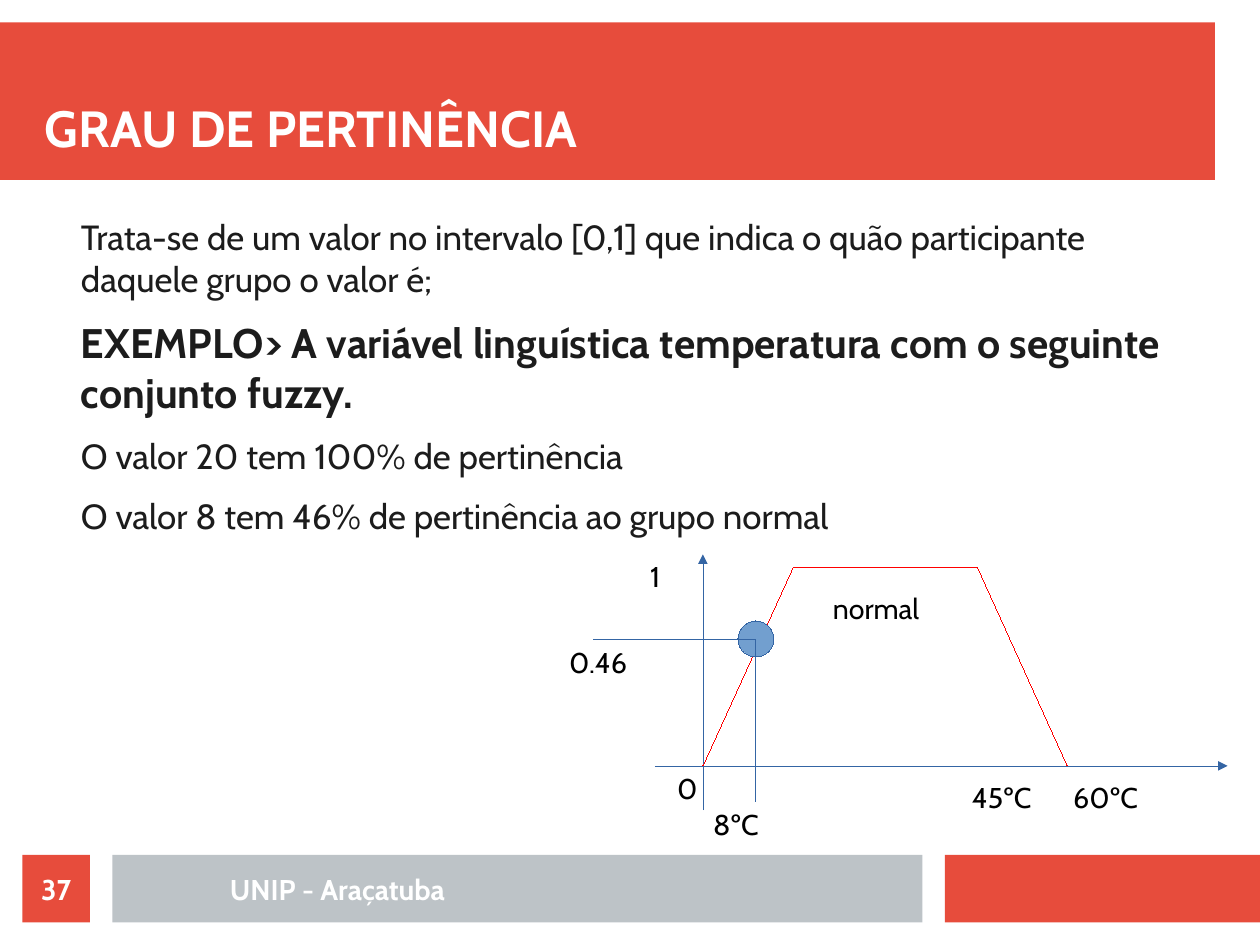
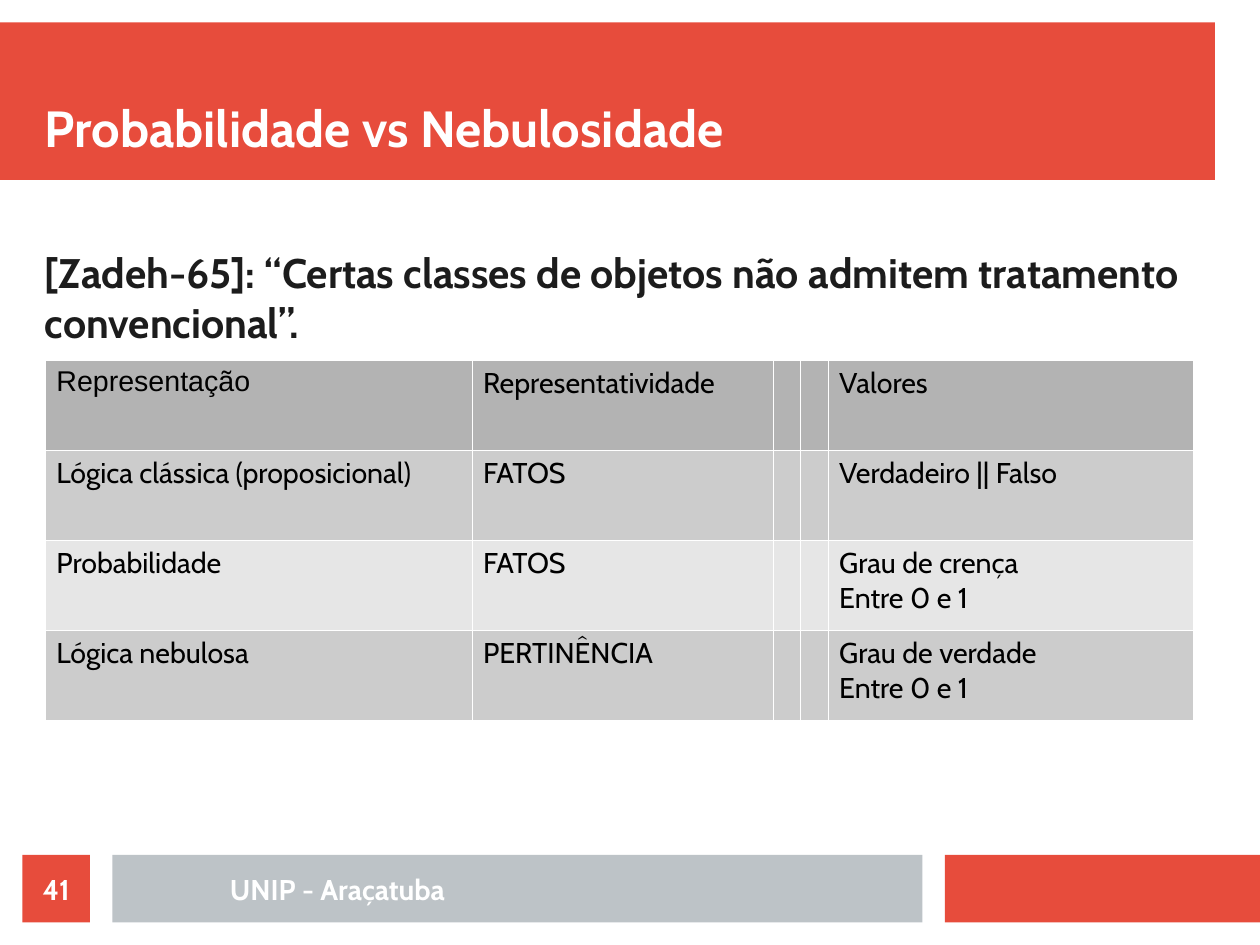
from itertools import pairwise

from lxml import etree
from pptx import Presentation
from pptx.dml.color import RGBColor
from pptx.enum.shapes import MSO_CONNECTOR as Connector, MSO_SHAPE as Shape
from pptx.enum.text import MSO_ANCHOR as Anchor, PP_ALIGN as Align
from pptx.oxml.ns import qn
from pptx.util import Cm, Pt

# Shared look
RED, GREY, WHITE, BLACK, INK = "E74C3C", "BDC3C7", "FFFFFF", "000000", "1C1C1C"
CURVE, BLUE, MARKER = "FF0000", "3465A4", "729FCF"
HEADER, DARK_ROW, LIGHT_ROW = "B3B3B3", "CCCCCC", "E6E6E6"
TITLE = {"size": Pt(32), "bold": True, "color": WHITE}
HEADING = {"size": Pt(26), "bold": True, "color": INK}
BODY = {"size": Pt(22), "bold": False, "color": INK}
FOOTER = {"size": Pt(18), "bold": True, "color": WHITE}
LABEL = {"size": Pt(18), "bold": False, "color": BLACK}
FOOTER_TOP, FOOTER_HEIGHT = 19, 1.5


def rgb(value):
    return RGBColor.from_string(value)


def style(font, look):
    for name, value in {"name": "Cabin", **look}.items():
        if name == "color":
            font.color.rgb = rgb(value)
        else:
            setattr(font, name, value)


def write(text_frame, paragraphs, align=Align.LEFT, space_after=0):
    """Fill a text frame from (text, look) pairs."""
    for index, (text, look) in enumerate(paragraphs):
        para = text_frame.paragraphs[0] if index == 0 else text_frame.add_paragraph()
        para.alignment = align
        para.space_after = Pt(space_after)
        span = para.add_run()
        span.text = text
        style(span.font, look)


def set_frame(text_frame, anchor, margin_x=0, margin_y=0):
    values = {"word_wrap": True, "vertical_anchor": anchor,
              "margin_left": Cm(margin_x), "margin_right": Cm(margin_x),
              "margin_top": Cm(margin_y), "margin_bottom": Cm(margin_y)}
    for name, value in values.items():
        setattr(text_frame, name, value)


def add_text(page, place, paragraphs, anchor=Anchor.TOP, margins=(0, 0), **layout):
    box = page.shapes.add_textbox(*map(Cm, place))
    set_frame(box.text_frame, anchor, *margins)
    write(box.text_frame, paragraphs, **layout)


def set_hairline(shape, color):
    shape.line.color.rgb = rgb(color)
    outline = shape.element.spPr.find(qn("a:ln"))
    outline.set("w", "0")
    return outline


def add_block(page, kind, place, fill, line=None):
    block = page.shapes.add_shape(kind, *map(Cm, place))
    block.shadow.inherit = False
    block.fill.solid()
    block.fill.fore_color.rgb = rgb(fill)
    if line:
        set_hairline(block, line)
    else:
        block.line.fill.background()
    return block


def add_line(page, start, end, color, arrow=False):
    line = page.shapes.add_connector(Connector.STRAIGHT, *map(Cm, (*start, *end)))
    outline = set_hairline(line, color)
    if arrow:
        etree.SubElement(outline, qn("a:tailEnd"), type="triangle")
    etree.SubElement(line.element.spPr, qn("a:effectLst"))


def add_page(deck, title, number):
    """Blank page with the title band and the footer."""
    page = deck.slides.add_slide(deck.slide_layouts[6])
    add_block(page, Shape.RECTANGLE, (0, 0.5, 27, 3.5), RED)
    for left, width, fill in [(21, 7, RED), (2.5, 18, GREY)]:
        add_block(page, Shape.RECTANGLE, (left, FOOTER_TOP, width, FOOTER_HEIGHT), fill)
    add_text(page, (1, 1, 26, 2.5), [(title, TITLE)], Anchor.BOTTOM)
    add_text(page, (3, FOOTER_TOP, 9, FOOTER_HEIGHT), [("UNIP - Araçatuba", FOOTER)],
             Anchor.MIDDLE, align=Align.CENTER)
    badge = add_block(page, Shape.RECTANGLE,
                      (0.5, FOOTER_TOP, FOOTER_HEIGHT, FOOTER_HEIGHT), RED)
    set_frame(badge.text_frame, Anchor.MIDDLE)
    write(badge.text_frame, [(str(number), FOOTER)], Align.CENTER)
    return page


def add_border(cell, color):
    properties = cell._tc.get_or_add_tcPr()
    for side in ("lnL", "lnR", "lnT", "lnB"):
        edge = etree.SubElement(properties, qn(f"a:{side}"), w="720")
        fill = etree.SubElement(edge, qn("a:solidFill"))
        etree.SubElement(fill, qn("a:srgbClr"), val=color)


def add_grid(page, left, top, widths, row_height, rows, fills):
    shape = page.shapes.add_table(len(rows), len(widths), Cm(left), Cm(top),
                                  Cm(sum(widths)), Cm(row_height * len(rows)))
    table = shape.table
    for column, width in zip(table.columns, widths):
        column.width = Cm(width)
    for row, texts, fill in zip(table.rows, rows, fills):
        row.height = Cm(row_height)
        for cell, text in zip(row.cells, texts):
            add_border(cell, WHITE)
            cell.fill.solid()
            cell.fill.fore_color.rgb = rgb(fill)
            if text:
                write(cell.text_frame, [(line, LABEL) for line in text.split("\n")])
    return table


def add_membership_diagram(page):
    axis_x, axis_y = 15.62, 17.02
    point_x, point_y, radius = 16.8, 14.2, 0.4
    # Axes
    add_line(page, (axis_x, 18), (axis_x, 12.32), BLUE, arrow=True)
    add_line(page, (14.55, axis_y), (27.28, axis_y), BLUE, arrow=True)
    # Trapezoid
    corners = [(axis_x, axis_y), (17.63, 12.6), (21.72, 12.6), (23.72, axis_y)]
    for start, end in pairwise(corners):
        add_line(page, start, end, CURVE)
    # Marked value with its guides
    add_block(page, Shape.OVAL, (point_x - radius, point_y - radius,
                                 2 * radius, 2 * radius), MARKER, BLUE)
    for start in [(point_x, 17.8), (13.2, point_y)]:
        add_line(page, start, (point_x, point_y), BLUE)
    # Labels
    for text, left, top, width in [
        ("1", 14.2, 12.3, 0.9), ("0.46", 12.4, 14.2, 2.05), ("0", 14.8, 17, 0.9),
        ("8ºC", 15.6, 17.8, 2.05), ("normal", 18.26, 13, 2.7),
        ("45ºC", 21.35, 17.2, 2.05), ("60ºC", 23.6, 17.2, 2.05),
    ]:
        add_text(page, (left, top, width, 1.1), [(text, LABEL)], margins=(0.25, 0.13))


def build_membership(deck):
    page = add_page(deck, "GRAU DE PERTINÊNCIA", 37)
    add_text(page, (1.8, 4.8, 24.7, 7.4), [
        ("Trata-se de um valor no intervalo [0,1] que indica o quão participante "
         "daquele grupo o valor é;", BODY),
        ("EXEMPLO> A variável linguística temperatura com o seguinte "
         "conjunto fuzzy.", HEADING),
        ("O valor 20 tem 100% de pertinência", BODY),
        ("O valor 8 tem 46% de pertinência ao grupo normal", BODY),
    ], space_after=11.3)
    add_membership_diagram(page)


def build_comparison(deck):
    page = add_page(deck, "Probabilidade vs Nebulosidade", 41)
    add_text(page, (1, 5.5, 25.5, 2.4), [
        ("[Zadeh-65]: “Certas classes de objetos não admitem tratamento "
         "convencional”.", HEADING),
    ])
    rows = [
        ("Representação", "Representatividade", "", "", "Valores"),
        ("Lógica clássica (proposicional)", "FATOS", "", "", "Verdadeiro || Falso"),
        ("Probabilidade", "FATOS", "", "", "Grau de crença\nEntre 0 e 1"),
        ("Lógica nebulosa", "PERTINÊNCIA", "", "", "Grau de verdade\nEntre 0 e 1"),
    ]
    table = add_grid(page, 1, 8, (9.48, 6.7, 0.6, 0.6, 8.12), 2, rows,
                     (HEADER, DARK_ROW, LIGHT_ROW, DARK_ROW))
    table.cell(0, 0).text_frame.paragraphs[0].runs[0].font.name = "Arial"


def main():
    deck = Presentation()
    deck.slide_width, deck.slide_height = Cm(28), Cm(21)
    build_membership(deck)
    build_comparison(deck)
    deck.save("out.pptx")


if __name__ == "__main__":
    main()
